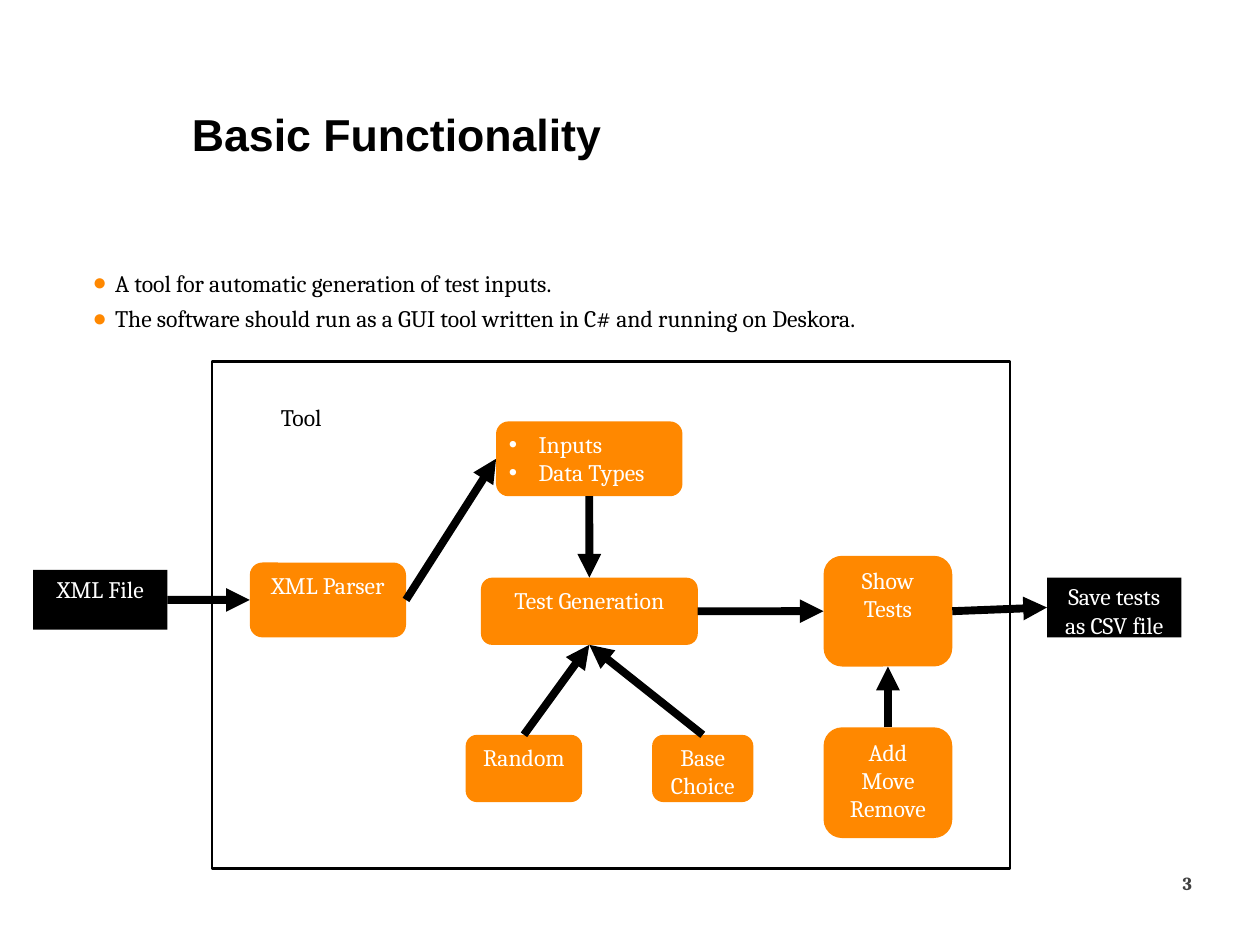
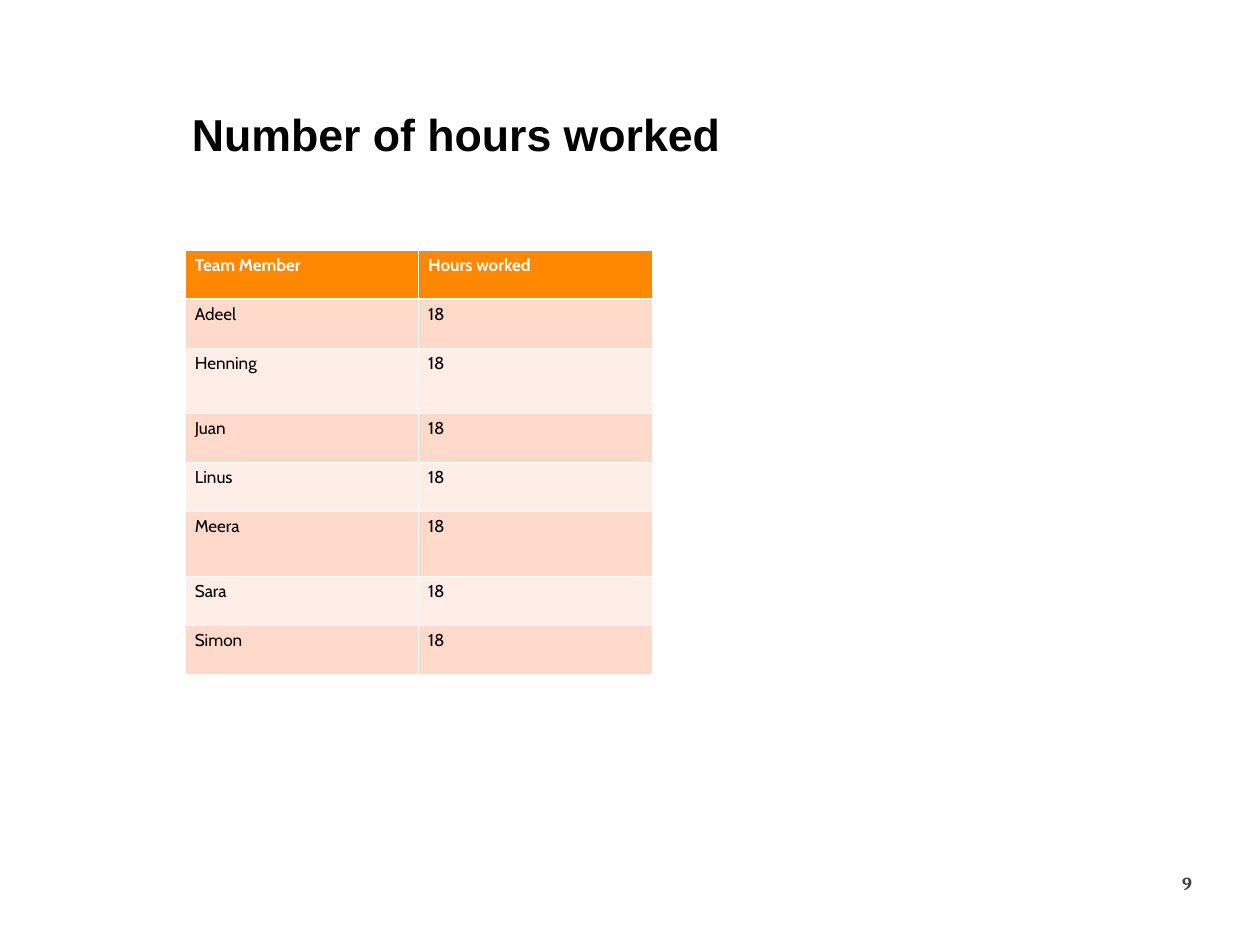
from lxml import etree
from pptx import Presentation
from pptx import util as u
from pptx.dml.color import RGBColor
from pptx.enum import shapes, text
from pptx.oxml.ns import qn

# Content
BULLETS = [
    "A tool for automatic generation of test inputs.",
    "The software should run as a GUI tool written in C# and running on Deskora.",
]
# Diagram boxes: lines, left, top, width, height
FILES = [
    (["XML File"], 25.2, 433.4, 102.2, 45.4),
    (["Save tests as CSV file"], 796.3, 439.2, 102.2, 45.4),
]
STEPS = [
    (["XML Parser"], 190, 427.7, 118.8, 56.9),
    (["Inputs", "Data Types"], 377.3, 320.4, 141.8, 56.9),
    (["Test Generation"], 365.8, 439.2, 164.9, 51.1),
    (["Random"], 354.2, 558.7, 88.6, 51.1),
    (["Base Choice"], 496, 558.7, 77, 51.1),
    (["Show Tests"], 626.4, 422.6, 97.9, 84.2),
    (["Add", "Move", "Remove"], 626.4, 553, 97.9, 84.2),
]
TOP, LEFT, BOTTOM, RIGHT = range(4)  # connection sites
ARROWS = [
    ("XML File", RIGHT, "XML Parser", LEFT),
    ("XML Parser", RIGHT, "Inputs", LEFT),
    ("Inputs", BOTTOM, "Test Generation", TOP),
    ("Random", TOP, "Test Generation", BOTTOM),
    ("Base Choice", TOP, "Test Generation", BOTTOM),
    ("Test Generation", RIGHT, "Show Tests", LEFT),
    ("Add", TOP, "Show Tests", BOTTOM),
    ("Show Tests", RIGHT, "Save tests as CSV file", LEFT),
]
HEADER = ("Team Member", "Hours worked")
MEMBERS = ["Adeel", "Henning", "Juan", "Linus", "Meera", "Sara", "Simon"]
HOURS = "18"
TALL_ROWS = {2, 5}

# Shared style
BLACK = RGBColor(0x00, 0x00, 0x00)
WHITE = RGBColor(0xFF, 0xFF, 0xFF)
ORANGE = RGBColor(0xFF, 0x88, 0x00)
GREY = RGBColor(0x40, 0x40, 0x40)
BANDS = (RGBColor(0xFF, 0xED, 0xE7), RGBColor(0xFF, 0xDA, 0xCB))
TITLE_FONT, BODY_FONT, TABLE_FONT = "Arial", "Cambria", "Cabin"
TITLE_AND_BODY, TITLE_ONLY = 1, 5


def place(shape, left, top, width, height):
    shape.left, shape.top = u.Pt(left), u.Pt(top)
    shape.width, shape.height = u.Pt(width), u.Pt(height)


def style(paragraph, name, size, color, bold=False, align=text.PP_ALIGN.LEFT):
    paragraph.alignment = align
    font = paragraph.font
    font.name, font.size, font.bold = name, u.Pt(size), bold
    font.color.rgb = color


def frame_text(shape, lines, anchor=text.MSO_ANCHOR.TOP, inset=(7.2, 3.6)):
    frame = shape.text_frame
    frame.text = "\n".join(lines)
    frame.word_wrap = True
    frame.auto_size = text.MSO_AUTO_SIZE.NONE
    frame.vertical_anchor = anchor
    frame.margin_left = frame.margin_right = u.Pt(inset[0])
    frame.margin_top = frame.margin_bottom = u.Pt(inset[1])
    return frame.paragraphs


def add_bullet(paragraph, character, color, indent):
    properties = paragraph._p.get_or_add_pPr()
    properties.set("marL", str(u.Pt(indent)))
    properties.set("indent", str(-u.Pt(indent)))
    bullet_color = etree.SubElement(properties, qn("a:buClr"))
    etree.SubElement(bullet_color, qn("a:srgbClr"), val=str(color))
    etree.SubElement(properties, qn("a:buFont"), typeface="Arial")
    etree.SubElement(properties, qn("a:buChar"), char=character)


def add_slide(presentation, layout, title, number):
    slide = presentation.slides.add_slide(presentation.slide_layouts[layout])
    place(slide.shapes.title, 141, 69, 618, 70.5)
    heading, = frame_text(slide.shapes.title, [title], text.MSO_ANCHOR.MIDDLE, (5, 3))
    heading.line_spacing = 0.9
    style(heading, TITLE_FONT, 34, BLACK, bold=True)
    footer = slide.shapes.add_textbox(u.Pt(754.6), u.Pt(658), u.Pt(157), u.Pt(26.6))
    page, = frame_text(footer, [number], text.MSO_ANCHOR.MIDDLE, (5, 3))
    style(page, BODY_FONT, 14, GREY, bold=True, align=text.PP_ALIGN.RIGHT)
    return slide


def add_box(slide, preset, fill, lines, *area):
    box = slide.shapes.add_shape(preset, *map(u.Pt, area))
    box.shadow.inherit = False
    box.fill.solid()
    box.fill.fore_color.rgb = fill
    box.line.fill.background()
    is_list = lines[0] == "Inputs"
    for paragraph in frame_text(box, lines):
        if is_list:
            add_bullet(paragraph, "•", WHITE, 22.5)
        align = text.PP_ALIGN.LEFT if is_list else text.PP_ALIGN.CENTER
        style(paragraph, BODY_FONT, 18, WHITE, align=align)
    return box


def add_arrow(slide, start, start_site, end, end_site):
    arrow = slide.shapes.add_connector(shapes.MSO_CONNECTOR.STRAIGHT, 0, 0, 0, 0)
    arrow.begin_connect(start, start_site)
    arrow.end_connect(end, end_site)
    arrow.line.color.rgb = BLACK
    arrow.line.width = u.Pt(6)
    etree.SubElement(arrow.line._get_or_add_ln(), qn("a:tailEnd"), type="triangle")
    etree.SubElement(arrow._element.spPr, qn("a:effectLst"))


def add_borders(cell, row):
    properties = cell._tc.get_or_add_tcPr()
    heavy = {0: "lnB", 1: "lnT"}.get(row)  # rule under the header
    for side in ("lnL", "lnR", "lnT", "lnB"):
        width = u.Pt(1.47 if side == heavy else 0.45)
        line = etree.SubElement(properties, qn("a:" + side), w=str(width))
        fill = etree.SubElement(line, qn("a:solidFill"))
        etree.SubElement(fill, qn("a:srgbClr"), val=str(WHITE))


def build_functionality(presentation):
    slide = add_slide(presentation, TITLE_AND_BODY, "Basic Functionality", "3")

    # Bullet list
    body = slide.placeholders[1]
    place(body, 65.5, 201, 816.5, 476)
    for paragraph in frame_text(body, BULLETS, inset=(5, 3)):
        paragraph.space_before = u.Pt(5.6)
        add_bullet(paragraph, "●", ORANGE, 17)
        style(paragraph, BODY_FONT, 18, BLACK)

    # Boxes, keyed by their first line
    boxes = {}
    for preset, fill, group in (
        (shapes.MSO_SHAPE.RECTANGLE, BLACK, FILES),
        (shapes.MSO_SHAPE.ROUNDED_RECTANGLE, ORANGE, STEPS),
    ):
        for lines, *area in group:
            boxes[lines[0]] = add_box(slide, preset, fill, lines, *area)

    # Tool boundary and its label
    boundary = slide.shapes.add_shape(
        shapes.MSO_SHAPE.RECTANGLE, u.Pt(161.3), u.Pt(275), u.Pt(607), u.Pt(385.2))
    boundary.shadow.inherit = False
    boundary.fill.background()
    boundary.line.color.rgb = BLACK
    boundary.line.width = u.Pt(2)
    label = slide.shapes.add_textbox(u.Pt(206.6), u.Pt(303), u.Pt(52), u.Pt(29))
    tool, = frame_text(label, ["Tool"])
    label.text_frame.word_wrap = False
    style(tool, BODY_FONT, 18, BLACK)

    # Arrows
    for start, start_site, end, end_site in ARROWS:
        add_arrow(slide, boxes[start], start_site, boxes[end], end_site)


def build_hours(presentation):
    slide = add_slide(presentation, TITLE_ONLY, "Number of hours worked", "9")
    rows = [HEADER] + [(member, HOURS) for member in MEMBERS]
    table = slide.shapes.add_table(
        len(rows), len(HEADER), u.Pt(141), u.Pt(190), u.Pt(355), u.Pt(323)).table
    for column in table.columns:
        column.width = u.Pt(177.5)
    for row, values in enumerate(rows):
        table.rows[row].height = u.Pt(49.3 if row in TALL_ROWS else 37.4)
        for column, value in enumerate(values):
            cell = table.cell(row, column)
            cell.text = value
            add_borders(cell, row)
            cell.fill.solid()
            cell.fill.fore_color.rgb = BANDS[row % 2] if row else ORANGE
            style(cell.text_frame.paragraphs[0], TABLE_FONT, 13,
                  BLACK if row else WHITE, bold=row == 0)


def main():
    presentation = Presentation()
    presentation.slide_width, presentation.slide_height = u.Pt(958.3), u.Pt(720)
    build_functionality(presentation)
    build_hours(presentation)
    presentation.save("out.pptx")


if __name__ == "__main__":
    main()
